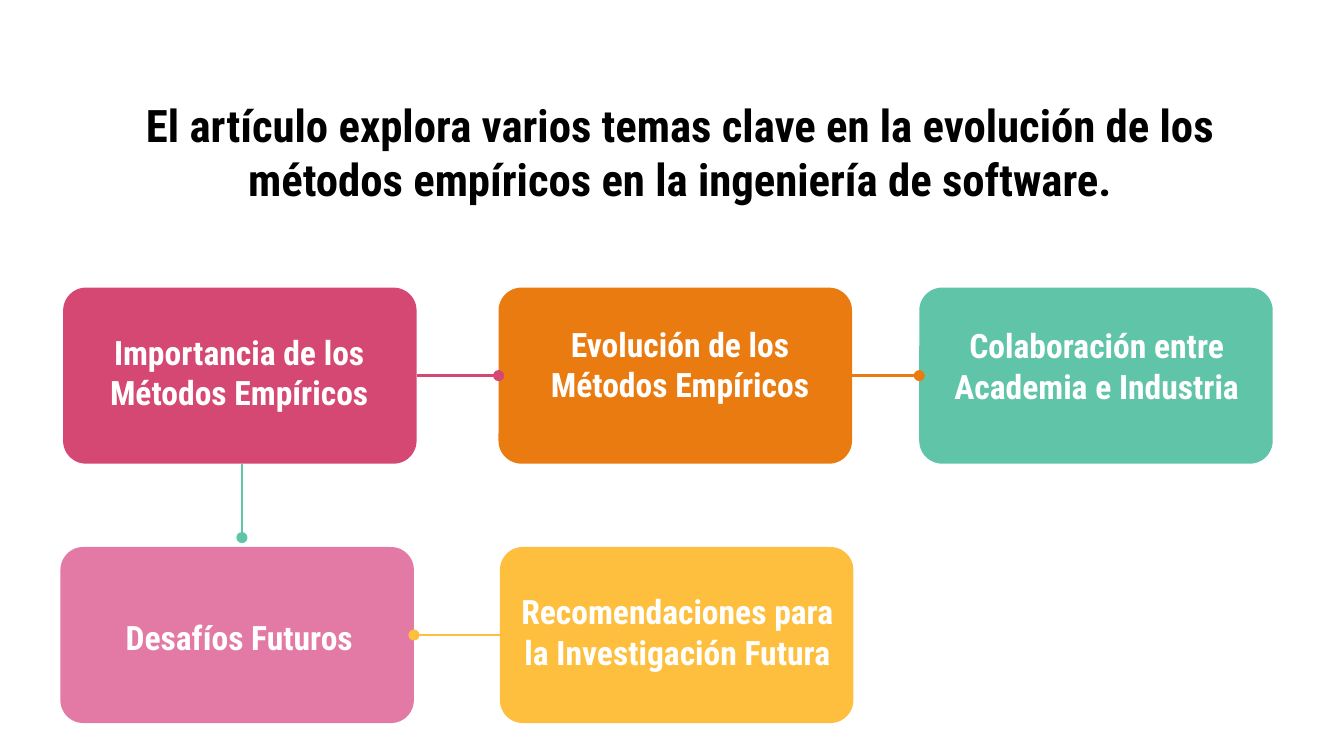
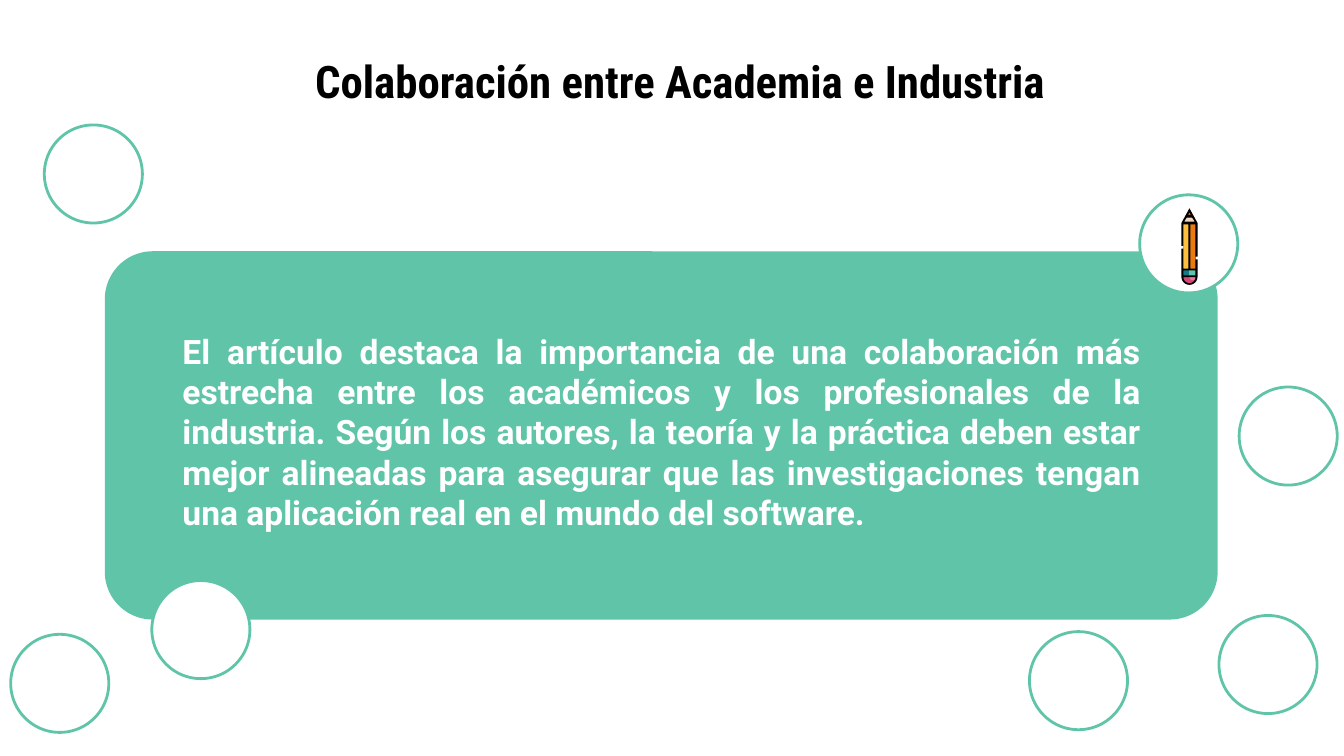
import math

from lxml import etree
from pptx import Presentation
from pptx.dml.color import RGBColor
from pptx.enum.shapes import MSO_CONNECTOR, MSO_SHAPE
from pptx.enum.text import MSO_ANCHOR, MSO_AUTO_SIZE, PP_ALIGN
from pptx.oxml.ns import qn
from pptx.util import Inches, Pt

ROUNDED, ELLIPSE = MSO_SHAPE.ROUNDED_RECTANGLE, MSO_SHAPE.OVAL
STRAIGHT = MSO_CONNECTOR.STRAIGHT
CENTER, JUSTIFY = PP_ALIGN.CENTER, PP_ALIGN.JUSTIFY
TOP, NO_FIT = MSO_ANCHOR.TOP, MSO_AUTO_SIZE.NONE
SITE_LEFT, SITE_RIGHT = 1, 3
TITLE_ONLY = 5

COLORS = {
    "black": "000000", "white": "FFFFFF", "raspberry": "D54873",
    "orange": "E97B11", "green": "60C5A8", "pink": "E27AA5",
    "yellow": "FFBF3E", "skin": "F2D6C2", "teal": "137A86",
}
HEADING_FONT, BODY_FONT = "Roboto Condensed", "Roboto"
SLIDE_WIDTH = Inches(10)
SLIDE_HEIGHT = SLIDE_WIDTH * 9 // 16
INSET, LINE_HEIGHT, LINE_WIDTH = 0.1, 0.3, 1.5
CARD_WIDTH, CARD_HEIGHT, CORNER = 2.63, 1.31, 0.13
LABEL_WIDTH = 2.58
CIRCLE_SIZE = 0.73

# label, color, card left and top, label left and top relative to the card,
# label height, empty lines above the label
CARDS = [
    ("Importancia de los Métodos Empíricos", "raspberry",
     0.47, 2.14, 0.02, 0.23, 0.88, 0),
    ("Evolución de los Métodos Empíricos", "orange",
     3.71, 2.14, 0.06, 0.17, 0.84, 0),
    ("Colaboración entre Academia e Industria", "green",
     6.84, 2.14, 0.03, 0.18, 0.98, 0),
    ("Desafíos Futuros", "pink",
     0.45, 4.07, 0.04, 0.12, 1.06, 1),
    ("Recomendaciones para la Investigación Futura", "yellow",
     3.72, 4.07, 0.03, 0.23, 0.85, 0),
]
CIRCLES = [(0.33, 0.93), (8.48, 1.45), (7.66, 4.7), (1.13, 4.32),
           (9.07, 4.58), (9.22, 2.88), (0.08, 4.72)]


def color(name):
    return RGBColor.from_string(COLORS[name])


def write_text(shape, text, font=HEADING_FONT, size=18, fill="white",
               align=CENTER, top_inset=INSET):
    frame = shape.text_frame
    frame.word_wrap = True
    frame.auto_size = NO_FIT
    frame.vertical_anchor = TOP
    frame.margin_left = frame.margin_right = frame.margin_bottom = Inches(INSET)
    frame.margin_top = Inches(top_inset)
    paragraph = frame.paragraphs[0]
    paragraph.alignment = align
    run = paragraph.add_run()
    run.text = text
    run.font.name, run.font.size, run.font.bold = font, Pt(size), True
    run.font.color.rgb = color(fill)


def add_text(slide, text, box, **text_format):
    text_box = slide.shapes.add_textbox(*map(Inches, box))
    write_text(text_box, text, **text_format)


def paint(shape, fill, line=None):
    shape.shadow.inherit = False
    shape.fill.solid()
    shape.fill.fore_color.rgb = color(fill)
    if line:
        shape.line.color.rgb = color(line)
        shape.line.width = Pt(LINE_WIDTH)
    else:
        shape.line.fill.background()


def add_rounded_box(slide, box, fill):
    shape = slide.shapes.add_shape(ROUNDED, *map(Inches, box))
    shape.adjustments[0] = CORNER
    paint(shape, fill)
    return shape


def add_titled_slide(presentation, text, top, height):
    slide = presentation.slides.add_slide(
        presentation.slide_layouts[TITLE_ONLY])
    title = slide.shapes.title
    title.left, title.top = Inches(0.4), Inches(top)
    title.width, title.height = Inches(9.32), Inches(height)
    write_text(title, text, size=24, fill="black")
    return slide


def add_link(slide, start, end, line, dot="tailEnd"):
    """Draw a line with a dot at one end; start and end are inch points."""
    link = slide.shapes.add_connector(STRAIGHT, *map(Inches, (*start, *end)))
    link.line.color.rgb = color(line)
    link.line.width = Pt(LINE_WIDTH)
    line_element = link.line._get_or_add_ln()
    etree.SubElement(line_element, qn("a:" + dot), type="oval")
    etree.SubElement(link._element.spPr, qn("a:effectLst"))
    return link


def link_cards(slide, left_card, right_card, line, dot="tailEnd"):
    link = add_link(slide, (0, 0), (1, 1), line, dot)
    link.begin_connect(left_card, SITE_RIGHT)
    link.end_connect(right_card, SITE_LEFT)


def add_card(slide, label, fill, left, top, label_left, label_top,
             label_height, empty_lines):
    card = add_rounded_box(slide, (left, top, CARD_WIDTH, CARD_HEIGHT), fill)
    add_text(slide, label,
             (left + label_left, top + label_top, LABEL_WIDTH, label_height),
             top_inset=INSET + empty_lines * LINE_HEIGHT)
    return card


def add_topics_slide(presentation):
    slide = add_titled_slide(
        presentation,
        "El artículo explora varios temas clave en la evolución de los "
        "métodos empíricos en la ingeniería de software.", 0.63, 1.04)
    importance, evolution, collaboration, challenges, advice = [
        add_card(slide, *card) for card in CARDS]
    link_cards(slide, importance, evolution, "raspberry")
    link_cards(slide, evolution, collaboration, "orange")
    link_cards(slide, challenges, advice, "yellow", dot="headEnd")
    add_link(slide, (1.8, 3.45), (1.8, 4), "green")


def rectangle(left, top, right, bottom):
    return [(left, top), (right, top), (right, bottom), (left, bottom)]


def lower_arc(center_x, center_y, radius):
    """Points from the right end of a lower half circle round to its left."""
    steps = 12
    angles = [math.pi * step / steps for step in range(steps + 1)]
    return [(center_x + radius * math.cos(angle),
             center_y + radius * math.sin(angle)) for angle in angles]


def add_outline(group, left, top, fill, *contours):
    """Fill contours given in hundredths of an inch; inner ones are holes."""
    placed = [[(Inches(left + x / 100), Inches(top + y / 100))
               for x, y in contour] for contour in contours]
    builder = group.shapes.build_freeform(*placed[0][0], scale=1.0)
    builder.add_line_segments(placed[0][1:], close=True)
    for contour in placed[1:]:
        builder.move_to(*contour[0])
        builder.add_line_segments(contour[1:], close=True)
    paint(builder.convert_to_shape(), fill)


def add_pencil(slide, left, top):
    group = slide.shapes.add_group_shape()
    eraser = lower_arc(6, 51, 5)
    parts = [
        ("skin", [(6, 2), (11, 11), *eraser, (1, 11)]),
        ("teal", rectangle(1, 46, 11, 51)),
        ("orange", [(6, 2), (8, 6), (4, 6)]),
        ("raspberry", eraser),
        ("green", rectangle(6, 46, 11, 51)),
        ("pink", lower_arc(8.5, 51, 2.5)),
        ("yellow", rectangle(1, 11, 11, 46)),
        ("orange", rectangle(6, 11, 11, 46)),
    ]
    for fill, contour in parts:
        add_outline(group, left, top, fill, contour)
    silhouette = [
        (6, 0), (12, 11), (12, 36), (10.5, 36), (10.5, 38), (12, 38),
        *lower_arc(6, 51, 6),
        (0, 30), (1.5, 30), (1.5, 28), (0, 28), (0, 11)]
    holes = [
        [(6, 3), (7, 5), (5, 5)],
        [(4, 7), (8, 7), (10, 10), (2, 10)],
        rectangle(1.5, 12, 5.25, 45),
        rectangle(6.75, 12, 10.5, 45),
        rectangle(1.5, 46.25, 10.5, 50),
        lower_arc(6, 51.25, 4.5),
    ]
    add_outline(group, left, top, "black", silhouette, *holes)


def add_panel(slide, left, top, width, height):
    add_rounded_box(slide, (left, top, width, height), "green")
    add_text(
        slide,
        "El artículo destaca la importancia de una colaboración más estrecha "
        "entre los académicos y los profesionales de la industria. Según los "
        "autores, la teoría y la práctica deben estar mejor alineadas para "
        "asegurar que las investigaciones tengan una aplicación real en el "
        "mundo del software.",
        (left + 0.48, top + 0.19, 7.33, 2.6),
        font=BODY_FONT, align=JUSTIFY, top_inset=INSET + LINE_HEIGHT)


def add_collaboration_slide(presentation):
    slide = add_titled_slide(
        presentation, "Colaboración entre Academia e Industria", 0.3, 0.63)
    add_panel(slide, 0.78, 1.87, 8.28, 2.74)
    for left, top in CIRCLES:
        circle = slide.shapes.add_shape(
            ELLIPSE, *map(Inches, (left, top, CIRCLE_SIZE, CIRCLE_SIZE)))
        paint(circle, "white", line="green")
    add_pencil(slide, 8.79, 1.55)


def main():
    presentation = Presentation()
    presentation.slide_width = SLIDE_WIDTH
    presentation.slide_height = SLIDE_HEIGHT
    add_topics_slide(presentation)
    add_collaboration_slide(presentation)
    presentation.save("out.pptx")


if __name__ == "__main__":
    main()
